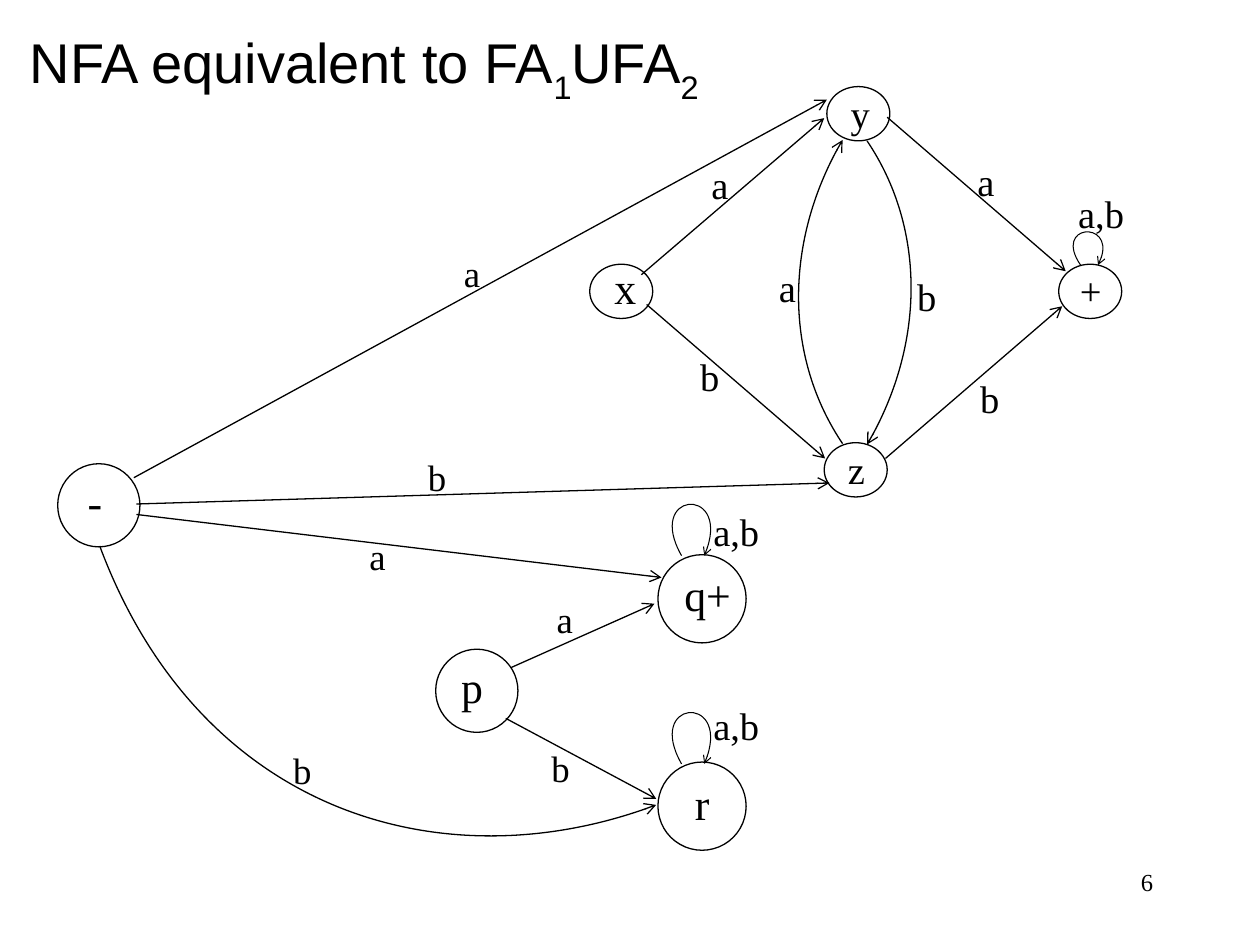
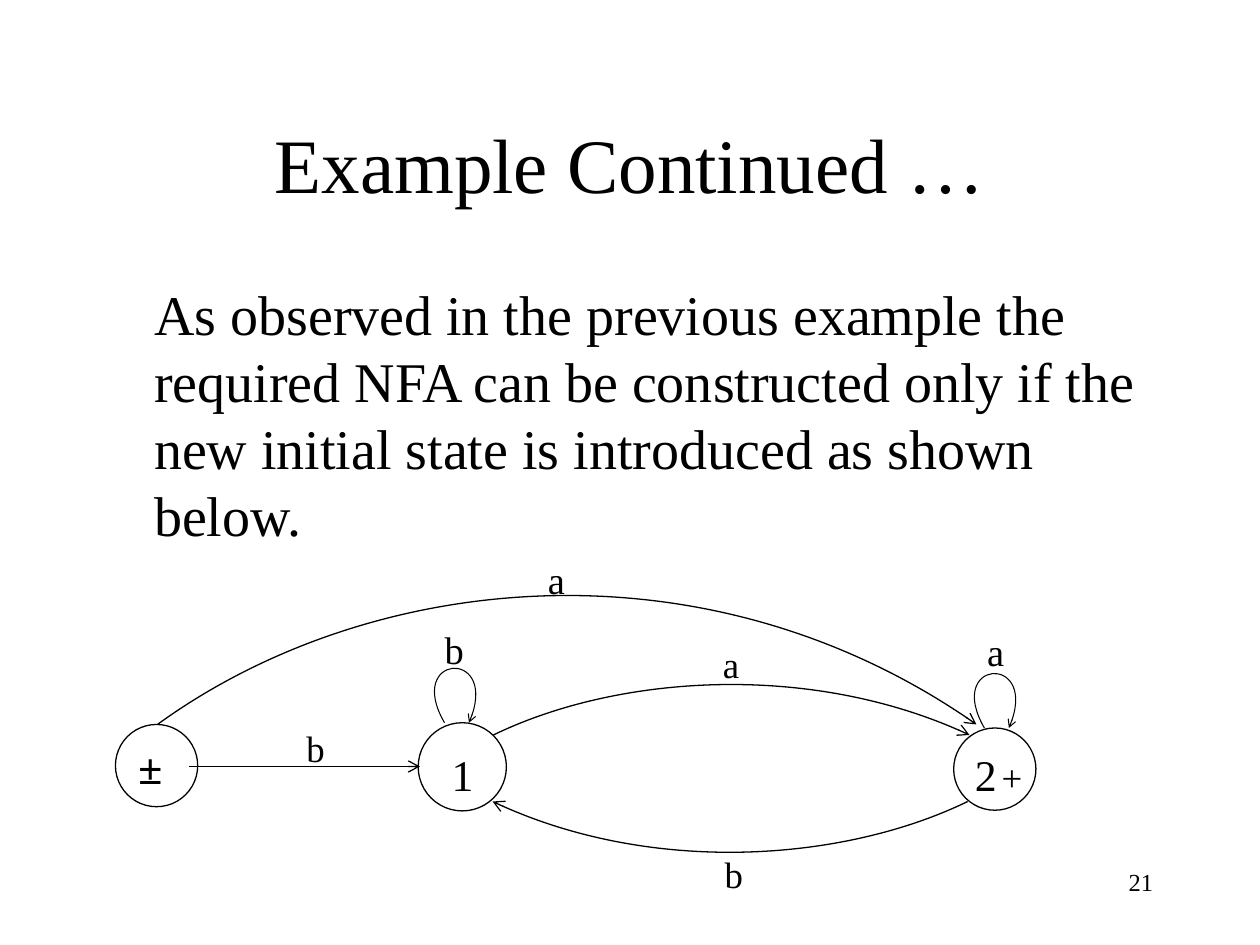
from lxml import etree
from pptx import Presentation
from pptx.dml.color import RGBColor
from pptx.enum import shapes, text
from pptx.oxml.ns import qn
from pptx.util import Pt

BLACK, WHITE = "000000", "FFFFFF"
SERIF, SANS = "Times New Roman", "Arial"
LEFT, CENTER, RIGHT = text.PP_ALIGN.LEFT, text.PP_ALIGN.CENTER, text.PP_ALIGN.RIGHT
NUMBER_BOX = (516, 492, 150, 36)

# states: left, top, width, height
# arrows: start and end; curves: start, two control points, end
# loops: start, distance between its ends, control height
# labels: text, box, size
UNION = {
    "number": "6",
    "states": [
        (337, 151, 36, 31), (471, 253, 36, 31), (605, 151, 36, 31), (472.5, 49.5, 36, 31),
        (376, 317, 50.4, 50.4), (376, 435.5, 50.4, 50.4),
        (249, 371, 47, 47.5), (33, 265, 47, 47.5),
    ],
    "arrows": [
        ((366.5, 157), (471, 67.5)), ((507, 67), (609, 155)),
        ((369.5, 174), (471.5, 262)), ((506, 262), (607, 175)),
        ((292, 381.5), (374, 345)), ((289, 410.5), (375, 456.5)),
        ((76.5, 273), (472.5, 57)), ((78, 288), (474, 276)), ((78, 294), (378, 330)),
    ],
    "curves": [
        ((495.5, 80.5), (528.5, 129.5), (528.5, 198), (495.5, 254)),
        ((481.5, 253.5), (448.5, 204.5), (448.5, 136), (481.5, 80)),
        ((57, 312), (113.5, 463.5), (254.5, 505.5), (375, 460)),
    ],
    "loops": [((617.5, 151.5), 10, 26), ((389.5, 317.5), 13, 40.5), ((389.5, 436.5), 13, 40.5)],
    "labels": [
        ("a", (399.5, 88.5, 50, 30), 22), ("b", (393, 198, 33, 22), 22),
        ("a", (551.5, 87, 50, 30), 22), ("b", (553, 211, 33, 22), 22),
        ("b", (517, 152.5, 25, 22), 22), ("a", (438, 147.5, 50, 30), 22),
        ("a,b", (609, 105, 57, 21), 22), ("y", (479, 48, 50, 30), 22),
        ("z", (477.5, 251.5, 50, 30), 22), ("+", (610, 149, 50, 30), 22),
        ("x", (344, 145.5, 50, 30), 25), ("b", (308, 422.5, 50, 38), 21),
        ("a", (311, 337.5, 50, 51), 21), ("a,b", (400.5, 286.5, 70.5, 48), 22),
        ("a,b", (400.5, 397.5, 70.5, 48), 22), ("p", (256.5, 373.5, 50, 51), 25),
        ("q+", (384, 321, 50, 51), 25), ("r", (390, 440.5, 50, 51), 25),
        ("-", (43, 268, 44, 51), 25), ("b", (160.5, 423.5, 50, 38), 21),
        ("a", (204, 301.5, 50, 51), 21), ("a", (258, 139.5, 50, 51), 21),
        ("b", (237.5, 256.5, 50, 38), 21),
    ],
}
CONTINUED = {
    "number": "21",
    "states": [(545, 416, 47, 47), (239, 413, 50.4, 50.4), (66, 414, 47, 47)],
    "arrows": [((108, 438), (240, 438))],
    "curves": [
        ((282, 420), (352, 386), (464.5, 378), (554, 420)),
        ((553, 458), (483, 492), (371, 500.5), (281.5, 458)),
        ((90, 414), (210, 327), (404, 306), (558, 414)),
    ],
    "loops": [((254, 413), 14, 43), ((562.5, 416), 14, 43)],
    "labels": [
        ("a", (557, 355.5, 60.5, 40), 22), ("b", (247, 354, 60.5, 40), 22),
        ("b", (407, 483, 61, 33), 21), ("a", (406, 363, 24, 24), 21),
        ("a", (306, 314, 60.5, 40), 22), ("b", (168, 411, 28, 33), 21),
        ("1", (251, 424, 58, 37), 25),
    ],
}
UNION_TITLE = [("NFA equivalent to FA", False), ("1", True), ("UFA", False), ("2", True)]
FINAL_STATE = [("2", 25), (" ", 11), ("+", 21)]
BODY = ("As observed in the previous example the required NFA can be constructed "
        "only if the new initial state is introduced as shown below.")


def color(hex_string):
    return RGBColor.from_string(hex_string)


def points(values):
    return [Pt(value) for value in values]


def add_text(slide, words, box, size, font=SERIF, align=LEFT):
    """Add a one-paragraph text box and return its text frame."""
    frame = slide.shapes.add_textbox(*points(box)).text_frame
    frame.word_wrap = True
    paragraph = frame.paragraphs[0]
    paragraph.text = words
    paragraph.alignment = align
    paragraph.font.size = Pt(size)
    paragraph.font.name = font
    paragraph.font.color.rgb = color(BLACK)
    return frame


def style_line(shape, width=0.75, head=None):
    """Draw a black outline; head is the size of an arrowhead at its end."""
    shape.line.color.rgb = color(BLACK)
    shape.line.width = Pt(width)
    if head:
        etree.SubElement(shape.line._get_or_add_ln(), qn("a:tailEnd"),
                         type="arrow", w=head, len=head)


def add_state(slide, box):
    state = slide.shapes.add_shape(shapes.MSO_SHAPE.OVAL, *points(box))
    state.shadow.inherit = False
    state.fill.solid()
    state.fill.fore_color.rgb = color(WHITE)
    style_line(state)


def add_arrow(slide, start, end):
    arrow = slide.shapes.add_connector(shapes.MSO_CONNECTOR.STRAIGHT, *points(start + end))
    style_line(arrow, head="med")
    etree.SubElement(arrow._element.spPr, qn("a:effectLst"))


def add_curve(slide, start, *others, width=0.75, head="med"):
    """Build an open outline, then turn its three segments into one Bézier curve."""
    builder = slide.shapes.build_freeform(*points(start))
    builder.add_line_segments([points(point) for point in others], close=False)
    curve = builder.convert_to_shape()
    segments = list(curve._element.iter(qn("a:lnTo")))
    bezier = etree.SubElement(segments[0].getparent(), qn("a:cubicBezTo"))
    for segment in segments:
        bezier.append(segment[0])
        segment.getparent().remove(segment)
    curve.shadow.inherit = False
    curve.fill.background()
    style_line(curve, width, head)


def add_loop(slide, start, gap, height):
    x, y = start
    add_curve(slide, start, (x - 1.6 * gap, y - 0.9 * height),
              (x + 2.33 * gap, y - height), (x + gap, y), width=0.6, head="sm")


def add_automaton(presentation, automaton):
    """Add a slide with the states, edges, labels and slide number."""
    slide = presentation.slides.add_slide(presentation.slide_layouts[6])
    for box in automaton["states"]:
        add_state(slide, box)
    for ends in automaton["arrows"]:
        add_arrow(slide, *ends)
    for curve in automaton["curves"]:
        add_curve(slide, *curve)
    for loop in automaton["loops"]:
        add_loop(slide, *loop)
    for label in automaton["labels"]:
        add_text(slide, *label)
    add_text(slide, automaton["number"], NUMBER_BOX, 14, align=RIGHT)
    return slide


def main():
    presentation = Presentation()
    presentation.slide_width, presentation.slide_height = Pt(720), Pt(540)

    union = add_automaton(presentation, UNION)
    title = add_text(union, "", (10, 12, 666, 42), 32, SANS).paragraphs[0]
    for words, is_subscript in UNION_TITLE:
        run = title.add_run()
        run.text = words
        if is_subscript:
            run.font._element.set("baseline", "-30000")

    continued = add_automaton(presentation, CONTINUED)
    title = add_text(continued, "Example Continued …", (54, 48, 612, 90), 44, align=CENTER)
    title.vertical_anchor = text.MSO_ANCHOR.MIDDLE
    body = add_text(continued, BODY, (81, 156, 585, 324), 32)
    body.paragraphs[0].space_before = Pt(8)
    initial = add_text(continued, "±", (72, 420, 66, 37.5), 25)
    initial.paragraphs[0].font.bold = True
    final = add_text(continued, "", (550, 424, 58, 37), 25).paragraphs[0]
    for words, size in FINAL_STATE:
        run = final.add_run()
        run.text = words
        run.font.size = Pt(size)

    presentation.save("out.pptx")


if __name__ == "__main__":
    main()
